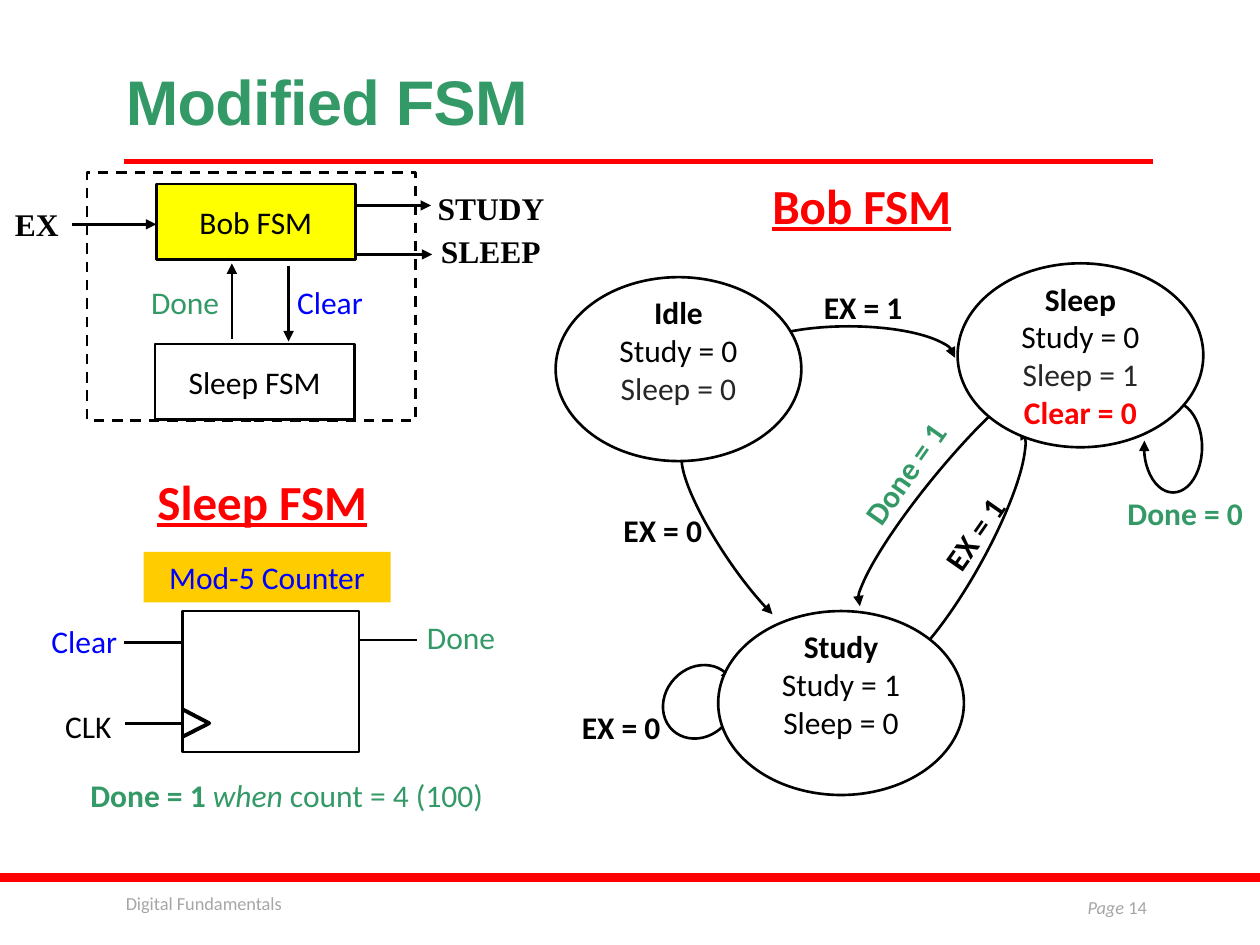
from dataclasses import dataclass
from lxml.etree import SubElement
from pptx import Presentation
from pptx.dml.color import RGBColor
from pptx.enum.dml import MSO_LINE
from pptx.enum.shapes import MSO_CONNECTOR, MSO_SHAPE as Preset
from pptx.enum.text import MSO_ANCHOR as Anchor, PP_ALIGN as Align
from pptx.oxml.ns import qn
from pptx.util import Pt


@dataclass(frozen=True)
class Theme:
    """Colours, fonts and type sizes of the slide."""
    black: str = "000000"
    white: str = "FFFFFF"
    soft: str = "262626"
    grey: str = "A6A6A6"
    red: str = "FF0000"
    green: str = "339966"
    blue: str = "0000FF"
    yellow: str = "FFFF00"
    amber: str = "FFCC00"
    body_font: str = "Calibri"
    title_font: str = "Arial"
    signal_font: str = "Times New Roman"
    title: float = 36
    heading: float = 28
    body: float = 18
    footer: float = 10.5
    stroke: float = 1.5


THEME = Theme()
LINE_HEIGHT = 28.8


def add_run(paragraph, text, color=THEME.black, size=THEME.body, font=THEME.body_font,
            bold=False, italic=False, underline=False):
    """Add one formatted run to a paragraph."""
    run = paragraph.add_run()
    run.text = text
    run.font.name, run.font.size = font, Pt(size)
    run.font.bold, run.font.italic, run.font.underline = bold, italic, underline
    run.font.color.rgb = RGBColor.from_string(color)
    return run


def add_label(slide, box, left, top, width, text, height=LINE_HEIGHT, align=Align.LEFT,
              wrap=False, rotation=0, **style):
    """Place a text box relative to the box origin; return its paragraph."""
    label = slide.shapes.add_textbox(Pt(box[0] + left), Pt(box[1] + top), Pt(width), Pt(height))
    label.rotation = rotation
    label.text_frame.word_wrap = wrap
    paragraph = label.text_frame.paragraphs[0]
    paragraph.alignment = align
    add_run(paragraph, text, **style)
    return paragraph


def add_heading(slide, box, left, top, width, text):
    """Place an underlined red heading."""
    add_label(slide, box, left, top, width, text, height=41, align=Align.CENTER,
              size=THEME.heading, color=THEME.red, bold=True, underline=True)


def set_outline(shape, color=THEME.black, width=THEME.stroke, arrow=False):
    """Set the line of a shape or connector, with an optional arrowhead."""
    shape.line.color.rgb = RGBColor.from_string(color)
    shape.line.width = Pt(width)
    if arrow:
        SubElement(shape.line._get_or_add_ln(), qn("a:tailEnd"), type="triangle")


def add_line(slide, box, x1, y1, x2, y2, arrow=False, **style):
    """Draw a straight line between two points of the box."""
    line = slide.shapes.add_connector(MSO_CONNECTOR.STRAIGHT, Pt(box[0] + x1), Pt(box[1] + y1),
                                      Pt(box[0] + x2), Pt(box[1] + y2))
    set_outline(line, arrow=arrow, **style)
    SubElement(line._element.spPr, qn("a:effectLst"))


def add_block(slide, box, left, top, width, height, kind=Preset.RECTANGLE, fill=None,
              outlined=True, text=None, color=THEME.black):
    """Draw a preset shape with optional fill, outline and centred text."""
    block = slide.shapes.add_shape(kind, Pt(box[0] + left), Pt(box[1] + top),
                                   Pt(width), Pt(height))
    block.shadow.inherit = False
    if fill:
        block.fill.solid()
        block.fill.fore_color.rgb = RGBColor.from_string(fill)
    else:
        block.fill.background()
    if outlined:
        set_outline(block)
    else:
        block.line.fill.background()
    if text:
        paragraph = block.text_frame.paragraphs[0]
        paragraph.alignment = Align.CENTER
        add_run(paragraph, text, color=color)
    return block


def add_transition(slide, box, left, top, width, height, rotation=0, end=0, flip=False):
    """Draw a curved state transition ending in an arrowhead."""
    arc = add_block(slide, box, left, top, width, height, kind=Preset.ARC)
    arc.adjustments[0], arc.adjustments[1] = 109.75, end
    arc.rotation = rotation
    if flip:
        arc._element.spPr.find(qn("a:xfrm")).set("flipH", "1")
    SubElement(arc.line._get_or_add_ln(), qn("a:tailEnd"), type="triangle")


def add_state(slide, box, left, top, name, outputs, bottom=0):
    """Draw a state ellipse with its name and coloured outputs."""
    state = add_block(slide, box, left, top, 140.4, 105.1, kind=Preset.OVAL, fill=THEME.white)
    frame = state.text_frame
    frame.margin_left = frame.margin_right = frame.margin_top = 0
    frame.margin_bottom = Pt(bottom)
    frame.vertical_anchor = Anchor.MIDDLE
    rows = [(name, THEME.black, True)] + outputs
    for index, (text, color, bold) in enumerate(rows):
        paragraph = frame.add_paragraph() if index else frame.paragraphs[0]
        paragraph.alignment = Align.CENTER
        add_run(paragraph, text, color=color, bold=bold)


def draw_frame(slide, box):
    """Draw the title, its rule and the footer."""
    add_block(slide, box, 0, 499, 720, 5, fill=THEME.red, outlined=False)
    add_line(slide, box, 70.6, 92.2, 658.8, 92.2, color=THEME.red, width=3)
    title = slide.shapes.add_textbox(Pt(box[0] + 64.8), Pt(box[1] + 22.3), Pt(594), Pt(60.5))
    title.text_frame.word_wrap = True
    title.text_frame.vertical_anchor = Anchor.BOTTOM
    paragraph = title.text_frame.paragraphs[0]
    paragraph.line_spacing = 0.85
    run = add_run(paragraph, "Modified FSM", THEME.green, THEME.title, THEME.title_font, bold=True)
    run.font._element.set("spc", "-40")
    small = dict(size=THEME.footer, color=THEME.grey)
    add_label(slide, box, 64.8, 506.2, 285, "Digital Fundamentals", wrap=True, **small)
    page = add_label(slide, box, 584.6, 508.3, 77.8, "Page", wrap=True, align=Align.RIGHT,
                     italic=True, **small)
    add_run(page, " 14", **small)


def draw_state_diagram(slide, box):
    """Draw the Bob state diagram; the origin is the corner of Idle."""
    loop = 61.676
    for left, top, width, height, rotation, end, flip in (
            (326.9, 80.6, 51.8, 33.1, 90, loop, False),
            (143.3, 109.4, 167, 28.1, 309.3, 0, True),
            (106.6, 28.1, 121.7, 36, 0, 0, False),
            (62.7, 220.3, 38.9, 44.6, 223.1, loop, False),
            (46.1, 137.5, 124.6, 27.4, 236.4, 208.234, True),
            (146.9, 138.2, 159.1, 36, 119.3, 0, True)):
        add_transition(slide, box, left, top, width, height, rotation, end, flip)
    for text, left, top, width, rotation, color in (
            ("Done = 1", 159.1, 97.2, 81.4, 305.1, THEME.green),
            ("EX = 1", 209.5, 131.8, 59.8, 304.8, THEME.black),
            ("EX = 0", 7.9, 242.6, 59.8, 0, THEME.black),
            ("EX = 0", 31.7, 130.3, 59.8, 0, THEME.black),
            ("Done = 0", 319.7, 120.2, 81.4, 0, THEME.green),
            ("EX = 1", 146.2, 2.9, 59.8, 0, THEME.black)):
        add_label(slide, box, left, top, width, text, rotation=rotation, color=color, bold=True)
    study_off = ("Study = 0", THEME.black, False)
    add_state(slide, box, 229.7, -7.9, "Sleep",
              [study_off, ("Sleep = 1", THEME.soft, False), ("Clear = 0", THEME.red, True)])
    add_state(slide, box, 0, 0, "Idle", [study_off, ("Sleep = 0", THEME.soft, False)], bottom=22)
    add_state(slide, box, 92.9, 190.8, "Study",
              [("Study = 1", THEME.black, False), ("Sleep = 0", THEME.black, False)], bottom=22)
    add_heading(slide, box, 115.9, -61.9, 118.1, "Bob FSM")


def draw_block_diagram(slide, box):
    """Draw the two linked machines inside a dashed frame."""
    add_block(slide, box, 39.6, 6.5, 113.8, 43.2, fill=THEME.yellow, text="Bob FSM")
    add_block(slide, box, 38.9, 98, 113.8, 43.2, text="Sleep FSM")
    dashed = add_block(slide, box, 0, 0, 187.9, 141.8)
    dashed.line.dash_style = MSO_LINE.DASH
    for ends in ((115.2, 53.3, 115.2, 96.5), (82.8, 95.1, 82.8, 51.9), (-8.7, 29.6, 39.6, 29.6),
                 (154.1, 46.8, 197.3, 46.8), (153.4, 18.8, 196.6, 18.8)):
        add_line(slide, box, *ends, arrow=True)
    add_label(slide, box, 113, 59.8, 52.6, "Clear", color=THEME.blue)
    add_label(slide, box, 29.5, 59.8, 54, "Done", color=THEME.green)
    signal = dict(font=THEME.signal_font, bold=True)
    add_label(slide, box, -48.3, 15.2, 39.6, "EX", **signal)
    for text, left, top in (("SLEEP", 178.5, 30.3), ("STUDY", 180.7, 5.8)):
        add_label(slide, box, left, top, 87.8, text, align=Align.RIGHT, wrap=True, **signal)


def draw_counter(slide, box):
    """Draw the counter; the origin is the corner of its block."""
    add_heading(slide, box, -22.3, -83.5, 135.4, "Sleep FSM")
    add_block(slide, box, 0, 0, 100.8, 80.6)
    for ends in ((-33.1, 64.1, 0, 64.1), (100.8, 16.6, 133.9, 16.6), (-33.8, 18, -0.7, 18)):
        add_line(slide, box, *ends)
    builder = slide.shapes.build_freeform(Pt(box[0]), Pt(box[1] + 71.8))
    builder.add_line_segments([(Pt(box[0] + x), Pt(box[1] + y))
                               for x, y in ((15.1, 64.1), (0, 56.2))], close=False)
    clock = builder.convert_to_shape()
    clock.shadow.inherit = False
    clock.fill.background()
    set_outline(clock, width=2.25)
    add_block(slide, box, -22.3, -33.8, 141.1, LINE_HEIGHT, fill=THEME.amber, outlined=False,
              text="Mod-5 Counter", color=THEME.blue)
    add_label(slide, box, -74.2, 51.1, 41.8, "CLK")
    add_label(slide, box, -82.1, 2.9, 52.6, "Clear", color=THEME.blue)
    add_label(slide, box, 132.5, 0.7, 54, "Done", color=THEME.green)
    note = add_label(slide, box, -59.8, 90.7, 241.9, "Done = 1 ", color=THEME.green, bold=True)
    add_run(note, "when", color=THEME.green, italic=True)
    add_run(note, " count = 4 (100)", color=THEME.green)


presentation = Presentation()
presentation.slide_width, presentation.slide_height = Pt(720), Pt(540)
slide = presentation.slides.add_slide(presentation.slide_layouts[6])
draw_frame(slide, (0, 0))
draw_state_diagram(slide, (317.5, 158.4))
draw_block_diagram(slide, (49.7, 98.6))
draw_counter(slide, (104.4, 349.2))
presentation.save("out.pptx")
